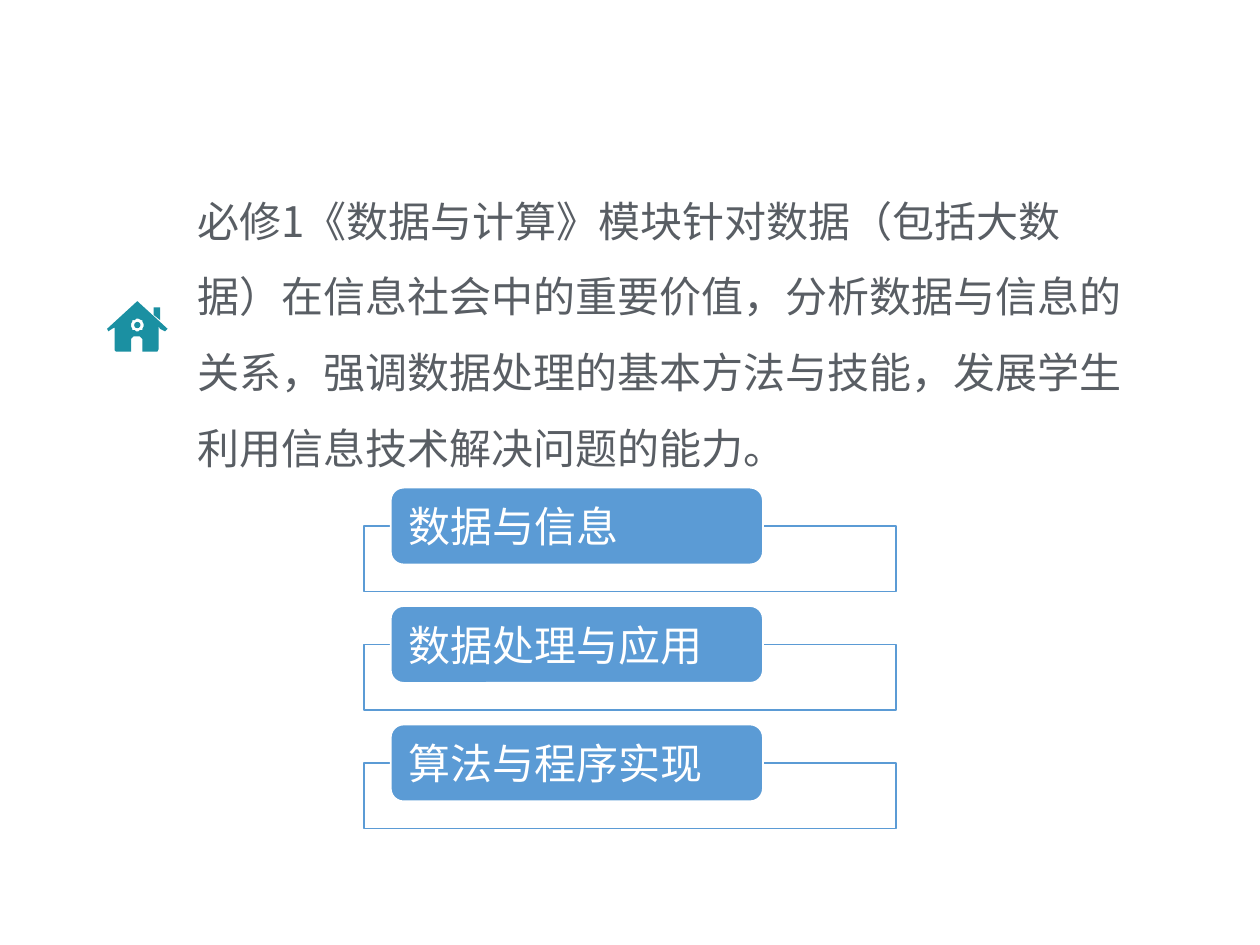
import math

from lxml import etree
from pptx import Presentation
from pptx.dml.color import RGBColor
from pptx.enum.shapes import MSO_SHAPE
from pptx.enum.text import MSO_ANCHOR, PP_ALIGN
from pptx.oxml.ns import qn
from pptx.util import Inches, Pt

RECTANGLE = MSO_SHAPE.RECTANGLE
ROUNDED = MSO_SHAPE.ROUNDED_RECTANGLE
OVAL = MSO_SHAPE.OVAL
LEFT = PP_ALIGN.LEFT
TOP = MSO_ANCHOR.TOP
MIDDLE = MSO_ANCHOR.MIDDLE

COLORS = {"white": "FFFFFF", "blue": "5B9BD5", "teal": "1B90A2", "ink": "595E64"}
FONT = "Noto Sans CJK SC"
INTRO = (
    "必修1《数据与计算》模块针对数据（包括大数据）在信息社会中的重要价值，"
    "分析数据与信息的关系，强调数据处理的基本方法与技能，"
    "发展学生利用信息技术解决问题的能力。"
)
TOPICS = ["数据与信息", "数据处理与应用", "算法与程序实现"]
HOUSE = [
    (24, 0), (0, 22), (1, 23.5), (4, 22.5), (6, 21), (6, 39), (7, 40), (19, 40),
    (19, 30), (21, 28), (26, 28), (28, 30), (28, 40), (40, 40), (41, 38),
    (41, 20), (42, 22), (46, 23.5), (48, 22),
]
CHIMNEY = [(42, 15), (42, 5), (37, 5), (37, 11)]


def paint(shape, fill, line=None):
    """Give a shape its fill and outline without a shadow."""
    shape.shadow.inherit = False
    shape.fill.solid()
    shape.fill.fore_color.rgb = RGBColor.from_string(COLORS[fill])
    if line:
        shape.line.color.rgb = RGBColor.from_string(COLORS[line])
        shape.line.width = Pt(1)
    else:
        shape.line.fill.background()


def write(shape, text, color, frame_format, paragraph_format):
    """Write one paragraph in the slide font."""
    frame = shape.text_frame
    paragraph = frame.paragraphs[0]
    for target, values in ((frame, frame_format), (paragraph, paragraph_format)):
        for name, value in values.items():
            setattr(target, name, value)
    run = paragraph.add_run()
    run.text = text
    run.font.size = Pt(24)
    run.font.name = FONT
    run.font.color.rgb = RGBColor.from_string(COLORS[color])
    properties = run.font._element
    etree.SubElement(properties, qn("a:ea")).set("typeface", FONT)


def add_intro(slide, left, top, width, height):
    """Place the introductory paragraph."""
    box = slide.shapes.add_textbox(
        Inches(left), Inches(top), Inches(width), Inches(height)
    )
    write(
        box, INTRO, "ink",
        {"word_wrap": True, "vertical_anchor": TOP},
        {"alignment": LEFT, "line_spacing": 1.5},
    )


def add_outline(shapes, left, top, unit, contours):
    """Draw closed contours as one teal outline."""
    builder = shapes.build_freeform(*contours[0][0], scale=Inches(unit))
    for index, points in enumerate(contours):
        if index:
            builder.move_to(*points[0])
        builder.add_line_segments(points[1:], close=True)
    paint(builder.convert_to_shape(Inches(left), Inches(top)), "teal")


def add_house(slide, left, top, width):
    """Place the house icon with its window and chimney."""
    unit = width / 48
    center_x, center_y, radius = 24, 19, 5
    angles = [math.tau * step / 24 for step in range(24)]
    window = [
        (center_x - radius * math.cos(angle), center_y + radius * math.sin(angle))
        for angle in angles
    ]
    shapes = slide.shapes.add_group_shape().shapes
    add_outline(shapes, left, top, unit, [HOUSE, window])
    add_outline(shapes, left, top, unit, [CHIMNEY])
    size = Inches(5 * unit)
    pane = shapes.add_shape(
        OVAL, Inches(left + 21.5 * unit), Inches(top + 16.5 * unit), size, size
    )
    paint(pane, "teal")


def add_topics(slide, left, top, width, pitch):
    """Stack a framed blue label for each topic."""
    label_height, frame_height = 0.61, 0.52
    for index, topic in enumerate(TOPICS):
        row_top = top + index * pitch
        frame = slide.shapes.add_shape(
            RECTANGLE, Inches(left), Inches(row_top + label_height / 2),
            Inches(width), Inches(frame_height),
        )
        paint(frame, "white", "blue")
        label = slide.shapes.add_shape(
            ROUNDED, Inches(left + width * 0.05), Inches(row_top),
            Inches(width * 0.7), Inches(label_height),
        )
        paint(label, "blue", "white")
        write(
            label, topic, "white",
            {
                "word_wrap": True, "vertical_anchor": MIDDLE,
                "margin_left": Inches(0.11), "margin_right": Inches(0.11),
                "margin_top": 0, "margin_bottom": 0,
            },
            {"alignment": LEFT},
        )


def main():
    """Build and save the slide."""
    presentation = Presentation()
    presentation.slide_width = Inches(10)
    presentation.slide_height = Inches(7.5)
    slide = presentation.slides.add_slide(presentation.slide_layouts[6])
    add_intro(slide, 1.47, 1.3, 7.57, 2.52)
    add_house(slide, 0.85, 2.39, 0.48)
    add_topics(slide, 2.89, 3.87, 4.22, 0.94)
    presentation.save("out.pptx")


if __name__ == "__main__":
    main()
